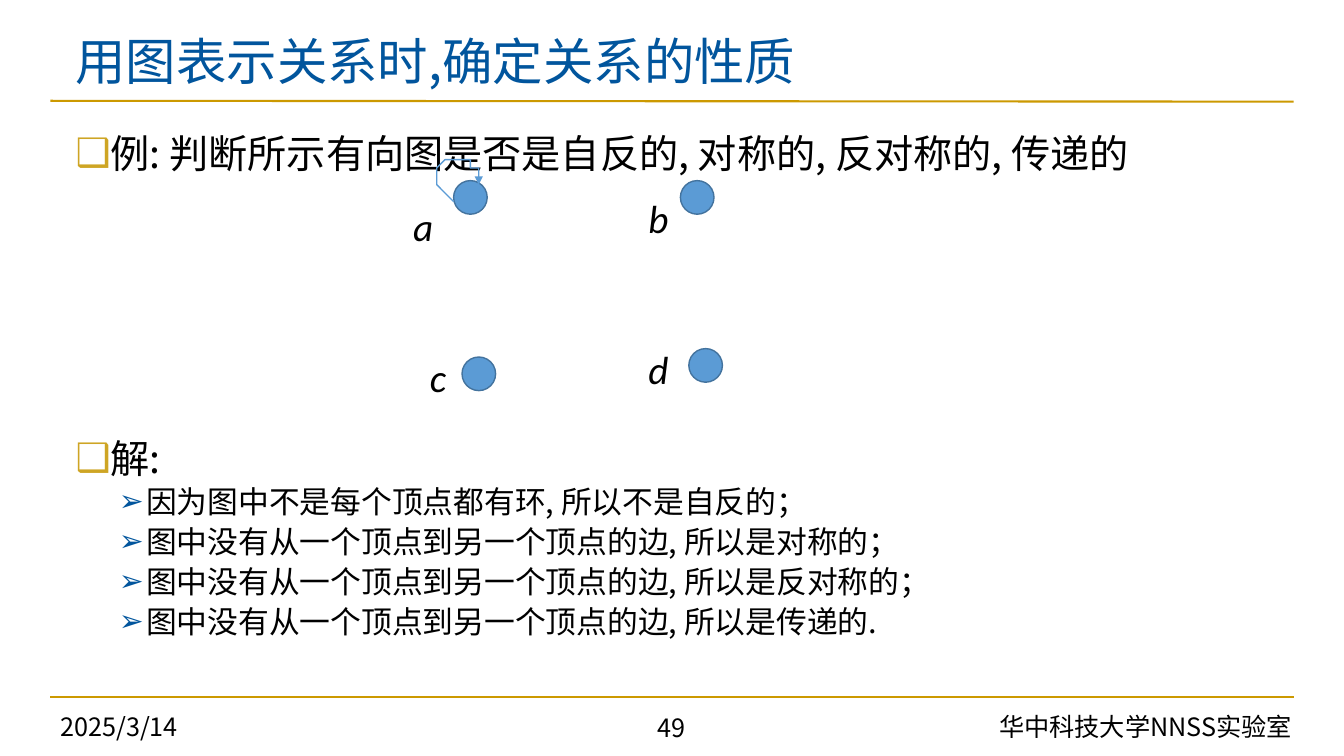
import pptx
import pptx.util
import pptx.dml.color
import pptx.enum.shapes
import pptx.enum.text
import pptx.oxml.ns
from lxml import etree

# Content; all places are cells of a 160 by 90 grid
TITLE = "用图表示关系时,确定关系的性质"
BODY = [
    (0, "例: 判断所示有向图是否是自反的, 对称的, 反对称的, 传递的", 0),
    (0, "解:", 181),
    (1, "因为图中不是每个顶点都有环, 所以不是自反的；", 4),
    (1, "图中没有从一个顶点到另一个顶点的边, 所以是对称的；", 5),
    (1, "图中没有从一个顶点到另一个顶点的边, 所以是反对称的；", 5),
    (1, "图中没有从一个顶点到另一个顶点的边, 所以是传递的.", 5),
]
FOOT = [
    ("2025/3/14", (6, 84, 38, 5), "LEFT"),
    ("华中科技大学NNSS实验室", (93, 84, 62, 5), "RIGHT"),
    ("49", (56, 84.1, 48, 4.8), "CENTER"),
]
# name: (node corner, label corner)
NODES = {
    "a": ((54, 21.5), (48, 23.5)),
    "b": ((81, 21.5), (76, 22.5)),
    "c": ((55, 42.5), (50, 41.5)),
    "d": ((82, 41.5), (76, 40.5)),
}
LOOP = [(53.7, 23.6), (53.1, 23.4), (52.6, 22.7), (52.1, 22), (52.1, 21),
        (52.2, 20.3), (52.5, 19.7), (53, 19.3), (54.2, 19), (55.1, 19),
        (55.9, 19.2), (56.3, 19.5), (56.6, 20.1), (56.9, 20.9), (57.1, 21.7)]
RULES = [(12, 12.1), (83, 83)]
THEME = {
    "font": "Noto Sans CJK SC", "label": "Calibri",
    "title": "01559D", "text": "000000", "rule": "CC9900",
    "node": "5B9BD5", "edge": "43739E", "back": "FFFFFF",
    "head": 36, "foot": 18, "name": 28,
}
# Per level: size, line height, indent, hang, bullet, bullet colour, bullet percent
LEVELS = [
    (28, 36.6, 0.3, 0.3, "❑", "CEA524", 100),
    (22, 23.6, 0.7, 0.27, "➢", "01559D", 97),
]

Pt = pptx.util.Pt
Inches = pptx.util.Inches
CELL = Inches(1) / 12


def cells(*nums):
    return [round(n * CELL) for n in nums]


def color(key):
    return pptx.dml.color.RGBColor.from_string(THEME[key])


def add(node, tag, **attrs):
    return etree.SubElement(node, pptx.oxml.ns.qn("a:" + tag), attrs)


def write(para, text, size, tint="text", font="font", align="LEFT",
          line=None, before=0, italic=False):
    para.alignment = getattr(pptx.enum.text.PP_ALIGN, align)
    para.space_before = Pt(before)
    if line:
        para.line_spacing = line
    run = para.add_run()
    run.text = text
    run.font.size = Pt(size)
    run.font.bold = False
    run.font.italic = italic
    run.font.color.rgb = color(tint)
    run.font.name = THEME[font]
    add(run.font._element, "ea", typeface=THEME["font"])


def place(shape, box):
    shape.left, shape.top, shape.width, shape.height = cells(*box)
    frame = shape.text_frame
    frame.word_wrap = True
    frame.auto_size = pptx.enum.text.MSO_AUTO_SIZE.NONE
    return frame


def label(slide, text, box, size, **style):
    frame = place(slide.shapes.add_textbox(0, 0, 0, 0), box)
    write(frame.paragraphs[0], text, size, **style)


def bullet(para, level):
    size, line, indent, hang, mark, tint, share = LEVELS[level]
    props = para._p.get_or_add_pPr()
    props.set("marL", str(Inches(indent)))
    props.set("indent", str(-Inches(hang)))
    add(add(props, "buClr"), "srgbClr", val=tint)
    add(props, "buSzPct", val=str(share * 1000))
    add(props, "buChar", char=mark)


def main():
    deck = pptx.Presentation()
    deck.slide_width, deck.slide_height = cells(160, 90)
    slide = deck.slides.add_slide(deck.slide_layouts[1])
    slide.background.fill.solid()
    slide.background.fill.fore_color.rgb = color("back")
    shapes = slide.shapes

    # Rules above and below the body
    for start, end in RULES:
        rule = shapes.add_connector(pptx.enum.shapes.MSO_CONNECTOR.STRAIGHT,
                                    *cells(6, start, 154, end))
        rule.line.color.rgb = color("rule")
        rule.line.width = Pt(1.5)
        add(rule._element.spPr, "effectLst")

    # Title and list
    frame = place(shapes.title, (7.8, 3.5, 144.2, 8.4))
    frame.vertical_anchor = pptx.enum.text.MSO_ANCHOR.MIDDLE
    write(frame.paragraphs[0], TITLE, THEME["head"], tint="title", line=0.9)

    frame = place(slide.placeholders[1], (7.8, 14.3, 144.2, 67.2))
    for i, (level, text, before) in enumerate(BODY):
        para = frame.add_paragraph() if i else frame.paragraphs[0]
        para.level = level
        bullet(para, level)
        write(para, text, LEVELS[level][0], line=Pt(LEVELS[level][1]), before=before)

    # Footer
    for text, box, align in FOOT:
        label(slide, text, box, THEME["foot"], align=align, line=Pt(22.3))

    # Graph nodes with their names
    for name, (spot, tag) in NODES.items():
        dot = shapes.add_shape(pptx.enum.shapes.MSO_SHAPE.OVAL, *cells(*spot, 4, 4))
        dot.shadow.inherit = False
        dot.fill.solid()
        dot.fill.fore_color.rgb = color("node")
        dot.line.color.rgb = color("edge")
        dot.line.width = Pt(1)
        label(slide, name, (*tag, 5, 6.8), THEME["name"], font="label", italic=True)

    # Loop at node a
    pen = shapes.build_freeform(*LOOP[0], scale=CELL)
    pen.add_line_segments(LOOP[1:], close=False)
    loop = pen.convert_to_shape()
    loop.shadow.inherit = False
    loop.fill.background()
    loop.line.color.rgb = color("node")
    loop.line.width = Pt(1)
    add(loop.line._get_or_add_ln(), "tailEnd", type="triangle")

    deck.save("out.pptx")


if __name__ == "__main__":
    main()
